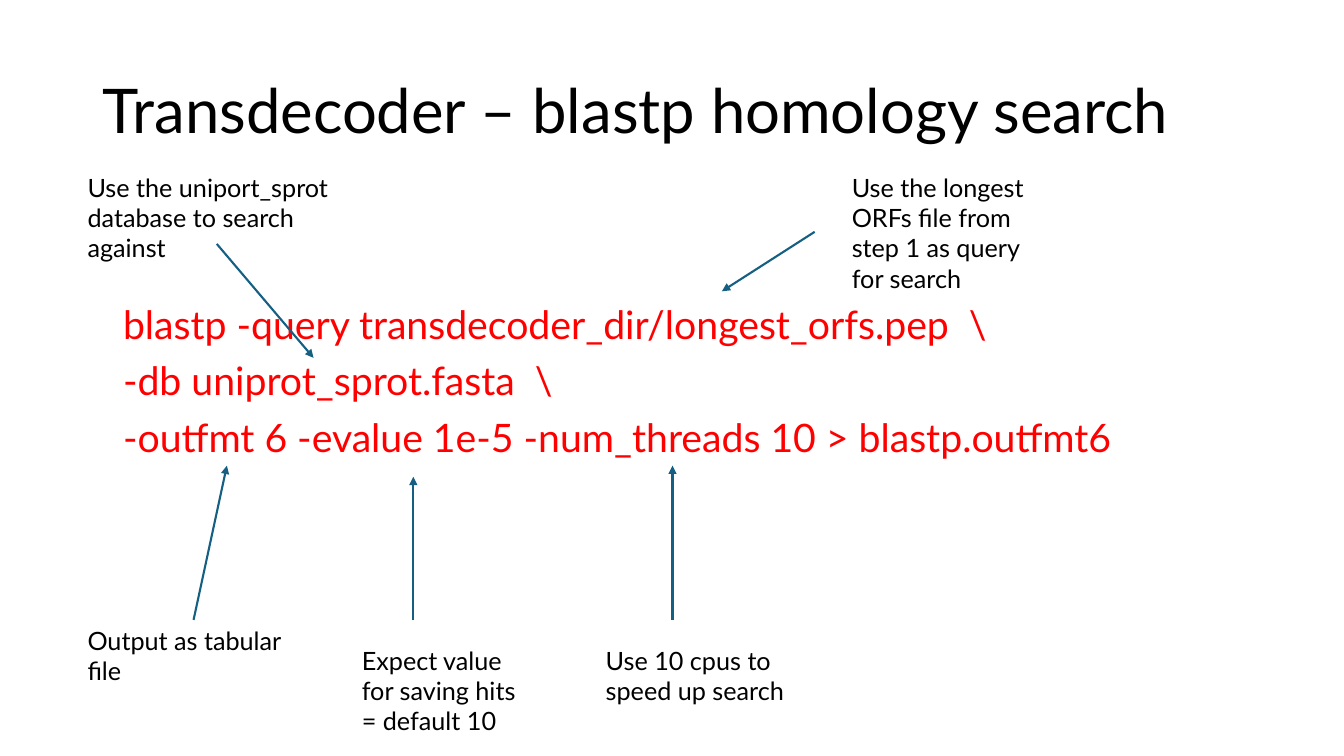
from dataclasses import dataclass

from lxml.etree import SubElement
from pptx import Presentation
from pptx.dml.color import RGBColor
from pptx.enum.shapes import MSO_CONNECTOR as Connector
from pptx.enum.text import MSO_ANCHOR as Anchor, MSO_AUTO_SIZE as AutoSize, PP_ALIGN as Align
from pptx.oxml.ns import qn
from pptx.slide import Slide
from pptx.util import Inches, Pt

FONT = "Lato"
COLOURS = {"text": "000000", "command": "FF0000", "arrow": "156082"}
TITLE = "Transdecoder – blastp homology search"
COMMAND_LINES = [
    "blastp -query transdecoder_dir/longest_orfs.pep  \\",
    "-db uniprot_sprot.fasta  \\",
    "-outfmt 6 -evalue 1e-5 -num_threads 10 > blastp.outfmt6",
]


@dataclass
class Callout:
    """A note and the arrow from it to the command; lengths in inches."""
    text: str
    box: tuple[float, float, float, float]
    start: tuple[float, float]
    tip: tuple[float, float]


CALLOUTS = [
    Callout("Use the longest ORFs file from step 1 as query for search",
            (8.35, 1.66, 1.91, 1.31), (8.08, 2.3), (7.16, 2.89)),
    Callout("Use the uniport_sprot database to search against",
            (0.77, 1.66, 2.72, 1.01), (2.15, 2.42), (3.11, 3.55)),
    Callout("Output as tabular file",
            (0.77, 6.15, 2.44, 0.71), (1.92, 6.15), (2.25, 4.62)),
    Callout("Use 10 cpus to speed up search",
            (5.91, 6.35, 2.44, 0.71), (6.67, 6.15), (6.67, 4.62)),
    Callout("Expect value for saving hits = default 10",
            (3.49, 6.35, 1.82, 1.01), (4.1, 6.15), (4.1, 4.73)),
]


def colour(name: str) -> RGBColor:
    return RGBColor.from_string(COLOURS[name])


def place(shape, box: tuple[float, float, float, float]) -> None:
    shape.left, shape.top, shape.width, shape.height = map(Inches, box)


def style_paragraph(paragraph, size: float, colour_name: str) -> None:
    paragraph.alignment = Align.LEFT
    paragraph.font.name = FONT
    paragraph.font.size = Pt(size)
    paragraph.font.color.rgb = colour(colour_name)


def fill_title(slide: Slide) -> None:
    title = slide.shapes.title
    place(title, (0.92, 0.4, 11.5, 1.45))
    frame = title.text_frame
    frame.text = TITLE
    frame.auto_size = AutoSize.NONE
    frame.vertical_anchor = Anchor.MIDDLE
    frame.paragraphs[0].line_spacing = 0.9
    style_paragraph(frame.paragraphs[0], 44, "text")


def fill_command(slide: Slide) -> None:
    body = slide.placeholders[1]
    place(body, (1.12, 2.98, 11.5, 2.07))
    frame = body.text_frame
    frame.text = "\n".join(COMMAND_LINES)
    frame.auto_size = AutoSize.NONE
    for index, paragraph in enumerate(frame.paragraphs):
        properties = paragraph._p.get_or_add_pPr()
        properties.set("marL", "0")
        properties.set("indent", "0")
        SubElement(properties, qn("a:buNone"))
        paragraph.line_spacing = 0.9
        paragraph.space_before = Pt(10 if index else 0)
        style_paragraph(paragraph, 28, "command")


def add_arrow(slide: Slide, start: tuple[float, float], tip: tuple[float, float]) -> None:
    arrow = slide.shapes.add_connector(Connector.STRAIGHT, *map(Inches, start + tip))
    arrow.line.color.rgb = colour("arrow")
    arrow.line.width = Pt(1.5)
    SubElement(arrow.line._get_or_add_ln(), qn("a:tailEnd"), type="triangle")
    SubElement(arrow._element.spPr, qn("a:effectLst"))


def add_callout(slide: Slide, callout: Callout) -> None:
    add_arrow(slide, callout.start, callout.tip)
    note = slide.shapes.add_textbox(*map(Inches, callout.box))
    frame = note.text_frame
    frame.word_wrap = True
    frame.auto_size = AutoSize.SHAPE_TO_FIT_TEXT
    frame.text = callout.text
    style_paragraph(frame.paragraphs[0], 18, "text")


def main() -> None:
    presentation = Presentation()
    presentation.slide_width = Inches(13.33)
    presentation.slide_height = Inches(7.5)
    slide = presentation.slides.add_slide(presentation.slide_layouts[1])
    fill_title(slide)
    fill_command(slide)
    for callout in CALLOUTS:
        add_callout(slide, callout)
    presentation.save("out.pptx")


if __name__ == "__main__":
    main()
